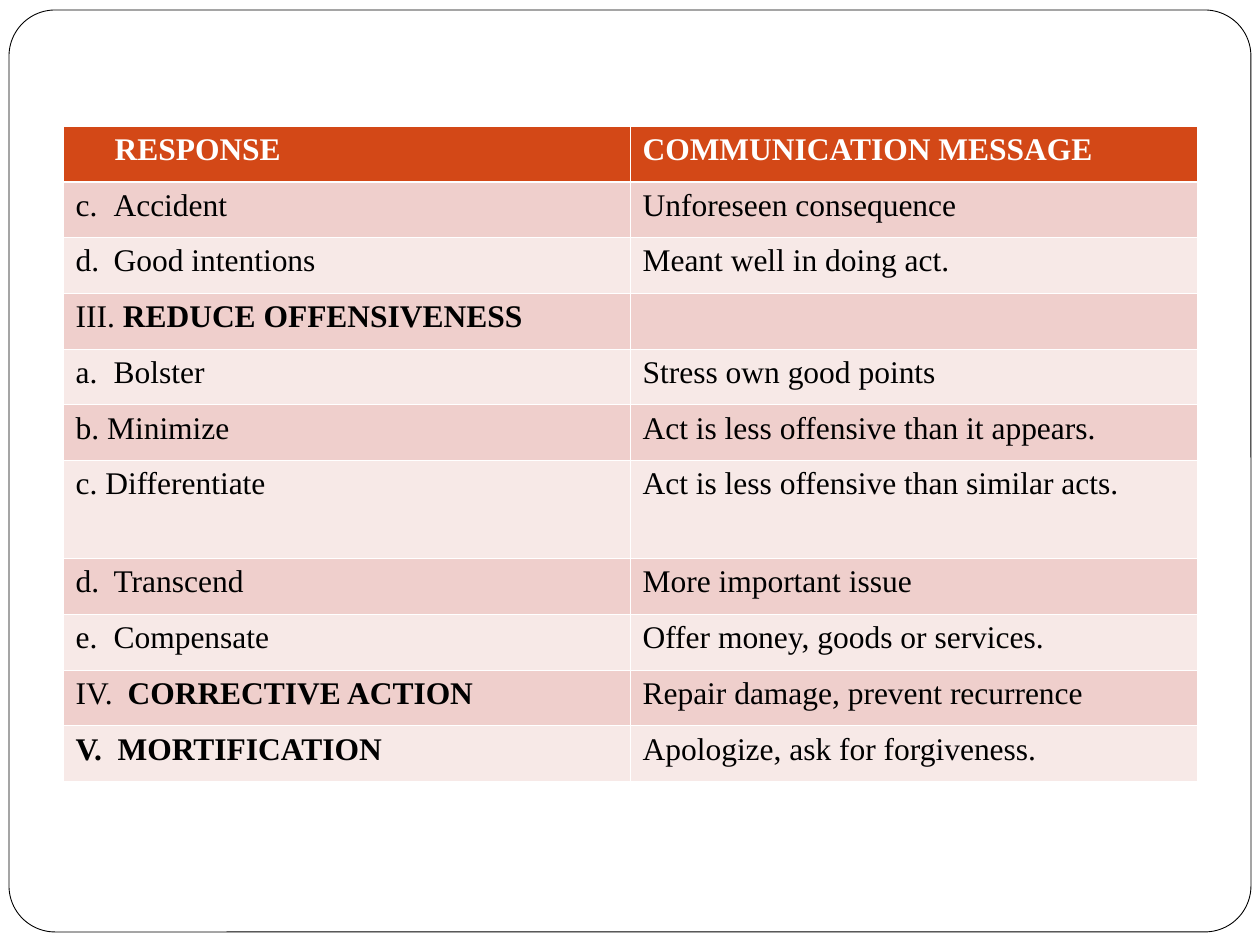
from lxml.etree import SubElement
from pptx import Presentation
from pptx.dml.color import RGBColor
from pptx.enum.shapes import MSO_SHAPE as Shape
from pptx.oxml.ns import qn
from pptx.util import Pt

PX = 914400 / 126
WHITE = RGBColor(0xFF, 0xFF, 0xFF)
BLACK = RGBColor(0, 0, 0)
HEADER_FILL = RGBColor(0xD3, 0x48, 0x17)
BAND_FILLS = (RGBColor(0xF7, 0xE9, 0xE7), RGBColor(0xEF, 0xCF, 0xCC))
FONT = "Times New Roman"

# Each cell is a list of (text, bold) runs.
ROWS = [
    ([("RESPONSE", True)], [("COMMUNICATION MESSAGE", True)]),
    ([("c.\tAccident", False)], [("Unforeseen consequence", False)]),
    ([("d.\tGood intentions", False)], [("Meant well in doing act.", False)]),
    ([("III. ", False), ("REDUCE OFFENSIVENESS", True)], []),
    ([("a.\tBolster", False)], [("Stress own good points", False)]),
    ([("b. Minimize", False)], [("Act is less offensive than it appears.", False)]),
    ([("c. Differentiate", False)], [("Act is less offensive than similar acts.", False)]),
    ([("d.\tTranscend", False)], [("More important issue", False)]),
    ([("e.\tCompensate", False)], [("Offer money, goods or services.", False)]),
    ([("IV.\t", False), ("CORRECTIVE ACTION", True)],
     [("Repair damage, prevent recurrence", False)]),
    ([("V.\tMORTIFICATION", True)], [("Apologize, ask for forgiveness.", False)]),
]
TALL_ROW = 6
TALL_HEIGHT = 98
TABLE_BOX = (63, 126, 1134, 656)
FRAME_BOX = (9, 10, 1242, 922)
HEADER_INDENT = 39
TAB_STOP = 38
WIDE_TAB_STOPS = {"IV.": 52, "V.": 42}


def emu(pixels):
    return round(pixels * PX)


def add_tab_stop(paragraph, position):
    tabs = SubElement(paragraph._p.get_or_add_pPr(), qn("a:tabLst"))
    SubElement(tabs, qn("a:tab"), pos=str(emu(position)), algn="l")


def write_text(paragraph, text, *, bold=False, color=BLACK, size=18):
    run = paragraph.add_run()
    run.text = text
    run.font.name, run.font.size = FONT, Pt(size)
    run.font.bold, run.font.color.rgb = bold, color


def set_borders(cell, widths):
    """Draw white borders; widths maps a side (L, R, T, B) to points."""
    properties = cell._tc.get_or_add_tcPr()
    for side, width in widths.items():
        line = SubElement(properties, qn(f"a:ln{side}"), w=str(Pt(width)))
        fill = SubElement(line, qn("a:solidFill"))
        SubElement(fill, qn("a:srgbClr"), val=str(WHITE))


def add_frame(slide):
    frame = slide.shapes.add_shape(Shape.ROUNDED_RECTANGLE, *map(emu, FRAME_BOX))
    frame.adjustments[0] = 0.05
    frame.shadow.inherit = False
    frame.fill.solid()
    frame.fill.fore_color.rgb = WHITE
    frame.line.color.rgb = BLACK
    frame.line.width = Pt(0.5)


def fill_cell(cell, runs, row):
    header = row == 0
    set_borders(cell, {"L": 0.45, "R": 0.45,
                       "T": 1.47 if row == 1 else 0.45,
                       "B": 1.47 if header else 0.45})
    cell.fill.solid()
    cell.fill.fore_color.rgb = HEADER_FILL if header else BAND_FILLS[row % 2]
    paragraph = cell.text_frame.paragraphs[0]
    if runs and "\t" in runs[0][0]:
        marker = runs[0][0].split("\t")[0]
        add_tab_stop(paragraph, WIDE_TAB_STOPS.get(marker, TAB_STOP))
    for text, bold in runs:
        write_text(paragraph, text, bold=bold, color=WHITE if header else BLACK)
    if not runs:
        paragraph.font.size = Pt(18)


def add_response_table(slide):
    table = slide.shapes.add_table(len(ROWS), 2, *map(emu, TABLE_BOX)).table
    row_height = (TABLE_BOX[3] - TALL_HEIGHT) / (len(ROWS) - 1)
    for row, cells in enumerate(ROWS):
        table.rows[row].height = emu(TALL_HEIGHT if row == TALL_ROW else row_height)
        for column, runs in enumerate(cells):
            fill_cell(table.cell(row, column), runs, row)
    table.cell(0, 0).margin_left += emu(HEADER_INDENT)


def main():
    presentation = Presentation()
    presentation.slide_width, presentation.slide_height = emu(1260), emu(945)
    slide = presentation.slides.add_slide(presentation.slide_layouts[6])
    add_frame(slide)
    add_response_table(slide)
    presentation.save("out.pptx")


if __name__ == "__main__":
    main()
